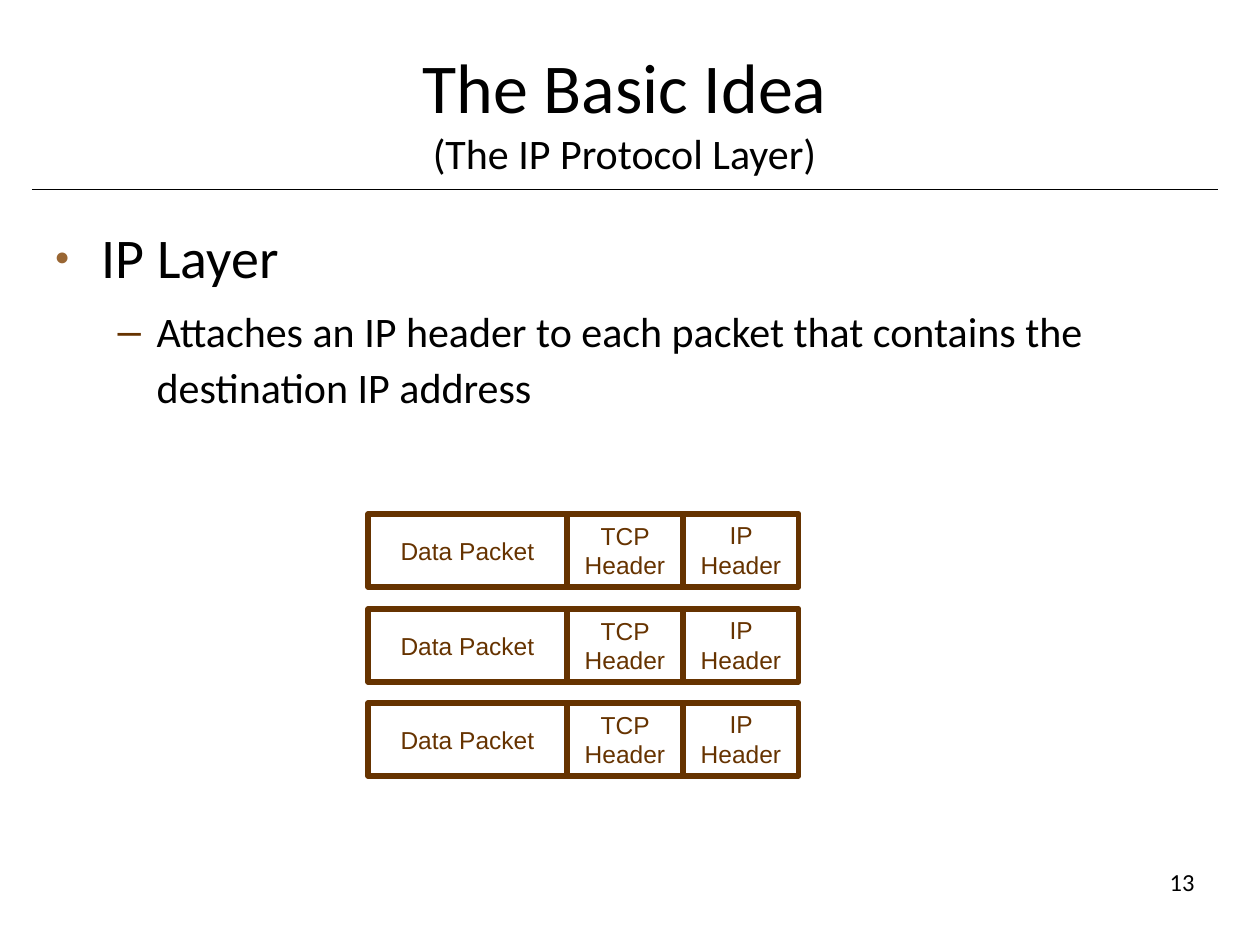
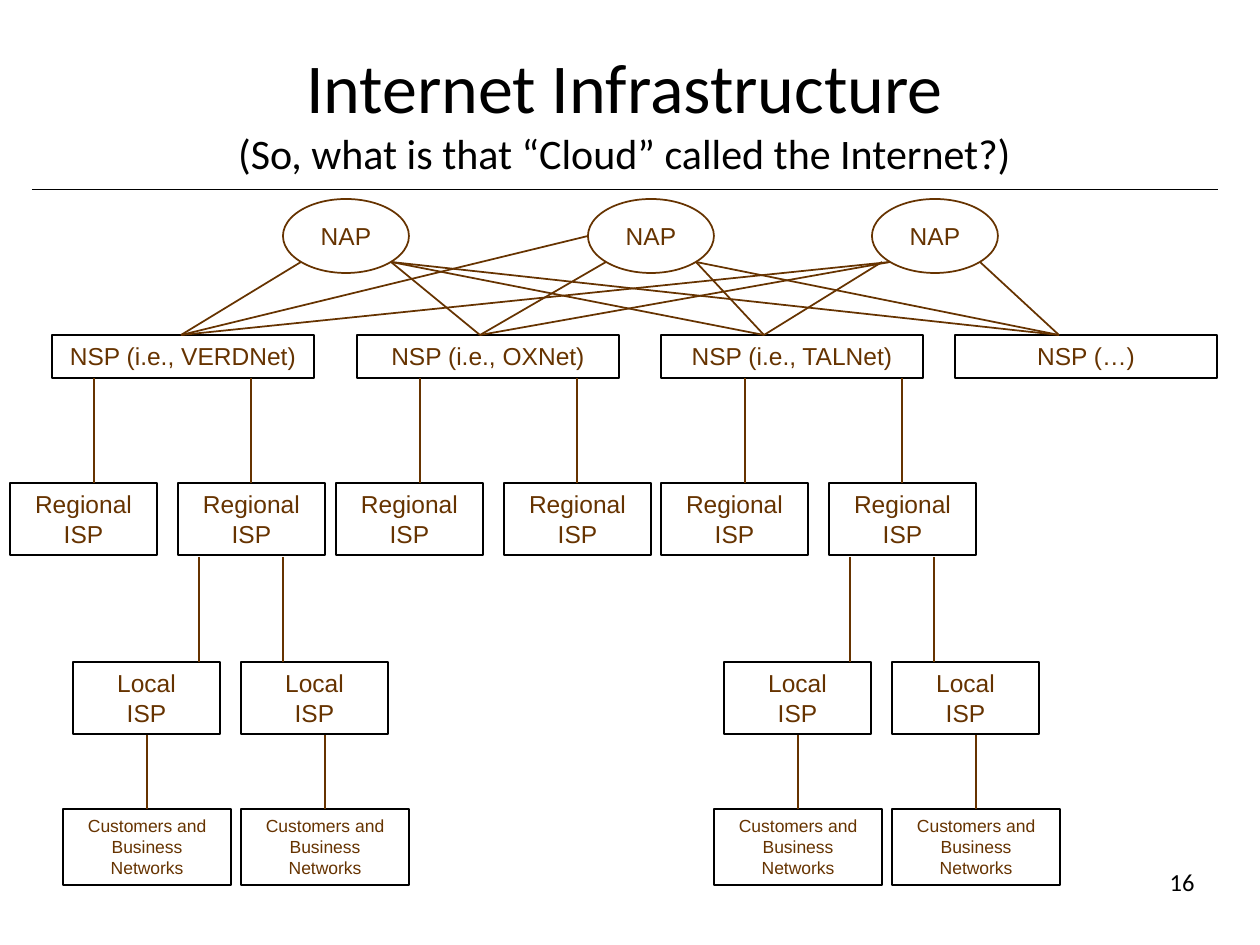
import pptx
import pptx.util
import pptx.dml.color
import pptx.enum.shapes
import pptx.enum.text
import pptx.oxml.ns
from lxml import etree

# Content
PACKET_TITLE = ("The Basic Idea", "(The IP Protocol Layer)")
PACKET_BODY = [
    # text, level, size, space before, left margin, hanging indent, bullet, colour, bullet %
    ("IP Layer", 0, 32, 0, 47, 47, "●", "tan", 45),
    ("Attaches an IP header to each packet that contains the destination IP address",
     1, 24, 6, 102, 39, "–", "brown", 100),
]
PACKET_FIELDS = [("Data Packet", 199, "middle"), ("TCP Header", 116, "middle"),
                 ("IP Header", 116, "top")]
PACKET_LEFT, PACKET_TOPS, PACKET_H = 368, (514, 609, 703), 73

NET_TITLE = ("Internet Infrastructure", "(So, what is that “Cloud” called the Internet?)")
NAP_LEFTS, NAP_TOP, NAP_W, NAP_H = (283, 588, 872), 199, 126, 74
NAP_PORTS = {"tip": (0, 37), "left": (18, 63), "low": (10, 63), "right": (108, 63)}
NSP_TOP, NSP_W, NSP_H = 335, 262, 43
NSPS = [
    # label, left, x where links meet, port used on each NAP
    ("NSP (i.e., VERDNet)", 52, 181, ("left", "tip", "left")),
    ("NSP (i.e., OXNet)", 357, 480, ("right", "left", "left")),
    ("NSP (i.e., TALNet)", 661, 764, ("right", "right", "low")),
    ("NSP (…)", 955, 1059, ("right", "right", "right")),
]
TIERS = [
    # offsets are measured from the left of each group
    dict(label="Regional\nISP", size=14, groups=(10, 336, 661), top=483, w=147, h=72,
         boxes=(0, 168), links=(84, 241), link_top=378),
    dict(label="Local\nISP", size=14, groups=(73, 724), top=662, w=147, h=72,
         boxes=(0, 168), links=(126, 210), link_top=557),
    dict(label="Customers and Business Networks", size=10, groups=(73, 724), top=809,
         w=168, h=76, boxes=(-10, 168), links=(74, 252), link_top=735),
]

# Shared style
COLORS = {"black": "000000", "brown": "663300", "tan": "996633"}
PX = 914400 / 126
TITLE_BOX = (42, 32, 1165, 152)
BODY_BOX = (42, 210, 1149, 672)
NUMBER_BOX = (945, 850, 262, 63)
RULE = (32, 189, 1218, 189)
TITLE_SIZES = (40, 24)

Shape = pptx.enum.shapes.MSO_SHAPE
Align = pptx.enum.text.PP_ALIGN
Anchor = pptx.enum.text.MSO_ANCHOR
ANCHORS = {"top": Anchor.TOP, "middle": Anchor.MIDDLE, "bottom": Anchor.BOTTOM}
qn = pptx.oxml.ns.qn


def px(n):
    return pptx.util.Emu(round(n * PX))


def rgb(name):
    return pptx.dml.color.RGBColor.from_string(COLORS[name])


def place(s, box):
    s.left, s.top, s.width, s.height = map(px, box)


def set_frame(tf, anchor):
    tf.word_wrap = True
    tf.auto_size = pptx.enum.text.MSO_AUTO_SIZE.NONE
    tf.vertical_anchor = ANCHORS[anchor]


def add_text(p, text, size=14, font="Arial", color="brown", align=Align.CENTER):
    p.alignment = align
    r = p.add_run()
    r.text = text
    r.font.size = pptx.util.Pt(size)
    r.font.name = font
    r.font.color.rgb = rgb(color)


def add_box(s, kind, box, text, line="black", width=0.75, anchor="top", size=14):
    sp = s.shapes.add_shape(kind, *map(px, box))
    sp.shadow.inherit = False
    sp.fill.background()
    sp.line.color.rgb = rgb(line)
    sp.line.width = pptx.util.Pt(width)
    tf = sp.text_frame
    set_frame(tf, anchor)
    for i, part in enumerate(text.split("\n")):
        add_text(tf.add_paragraph() if i else tf.paragraphs[0], part, size=size)


def add_line(s, ends, color="brown", width=1):
    c = s.shapes.add_connector(pptx.enum.shapes.MSO_CONNECTOR.STRAIGHT, *map(px, ends))
    c.line.color.rgb = rgb(color)
    c.line.width = pptx.util.Pt(width)
    etree.SubElement(c._element.spPr, qn("a:effectLst"))


def set_bullet(p, left, hang, char, color, percent):
    pPr = p._p.get_or_add_pPr()
    pPr.set("marL", str(px(left)))
    pPr.set("indent", str(px(-hang)))
    clr = etree.SubElement(pPr, qn("a:buClr"))
    etree.SubElement(clr, qn("a:srgbClr"), val=COLORS[color])
    etree.SubElement(pPr, qn("a:buSzPct"), val=str(percent * 1000))
    etree.SubElement(pPr, qn("a:buFont"), typeface="Arial")
    etree.SubElement(pPr, qn("a:buChar"), char=char)


def new_slide(prs, layout, title, number):
    s = prs.slides.add_slide(prs.slide_layouts[layout])
    add_line(s, RULE, color="black", width=0.5)

    # Title with a smaller second line
    place(s.shapes.title, TITLE_BOX)
    tf = s.shapes.title.text_frame
    set_frame(tf, "bottom")
    p = tf.paragraphs[0]
    add_text(p, title[0], size=TITLE_SIZES[0], font="Calibri", color="black")
    p.add_line_break()
    etree.SubElement(p._p.find(qn("a:br")), qn("a:rPr"), sz=str(TITLE_SIZES[0] * 100))
    add_text(p, title[1], size=TITLE_SIZES[1], font="Calibri", color="black")

    # Slide number
    tf = s.shapes.add_textbox(*map(px, NUMBER_BOX)).text_frame
    set_frame(tf, "middle")
    add_text(tf.paragraphs[0], str(number), font="Calibri", color="black", align=Align.RIGHT)
    return s


def build_packets(prs):
    s = new_slide(prs, 1, PACKET_TITLE, 13)
    body = s.placeholders[1]
    place(body, BODY_BOX)
    tf = body.text_frame
    set_frame(tf, "top")
    for i, (text, level, size, before, *bullet) in enumerate(PACKET_BODY):
        p = tf.add_paragraph() if i else tf.paragraphs[0]
        p.level = level
        set_bullet(p, *bullet)
        p.line_spacing = 1.1
        p.space_before = pptx.util.Pt(before)
        add_text(p, text, size=size, font="Calibri", color="black", align=Align.LEFT)

    # Packets, one row each
    for top in PACKET_TOPS:
        left = PACKET_LEFT
        for text, w, anchor in PACKET_FIELDS:
            add_box(s, Shape.RECTANGLE, (left, top, w, PACKET_H), text,
                    line="brown", width=3, anchor=anchor)
            left += w


def build_network(prs):
    s = new_slide(prs, 5, NET_TITLE, 16)
    for left in NAP_LEFTS:
        add_box(s, Shape.OVAL, (left, NAP_TOP, NAP_W, NAP_H), "NAP",
                line="brown", width=1, anchor="middle")

    # Providers, each linked to every NAP
    for label, left, meet, ports in NSPS:
        add_box(s, Shape.RECTANGLE, (left, NSP_TOP, NSP_W, NSP_H), label)
        for nap_left, port in zip(NAP_LEFTS, ports):
            dx, dy = NAP_PORTS[port]
            add_line(s, (meet, NSP_TOP, nap_left + dx, NAP_TOP + dy))

    # Lower tiers, in pairs
    for t in TIERS:
        for group in t["groups"]:
            for box, link in zip(t["boxes"], t["links"]):
                add_box(s, Shape.RECTANGLE, (group + box, t["top"], t["w"], t["h"]),
                        t["label"], size=t["size"])
                add_line(s, (group + link, t["link_top"], group + link, t["top"]))


def main():
    prs = pptx.Presentation()
    prs.slide_width, prs.slide_height = px(1260), px(945)
    build_packets(prs)
    build_network(prs)
    prs.save("out.pptx")


if __name__ == "__main__":
    main()
